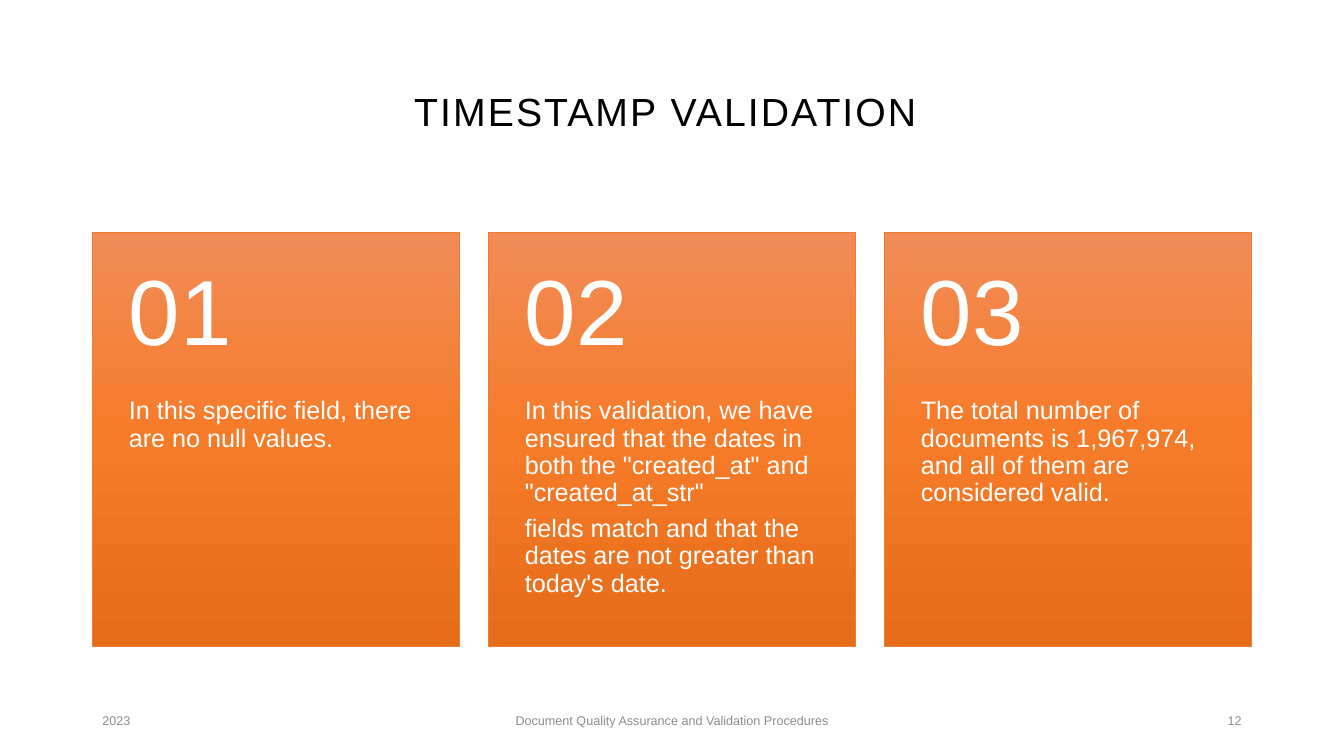
from copy import deepcopy
from dataclasses import dataclass

from pptx import Presentation
from pptx.dml.color import RGBColor
from pptx.enum.shapes import MSO_SHAPE
from pptx.enum.text import MSO_ANCHOR, PP_ALIGN
from pptx.oxml.ns import qn
from pptx.util import Pt

RECTANGLE = MSO_SHAPE.RECTANGLE
TOP, MIDDLE = MSO_ANCHOR.TOP, MSO_ANCHOR.MIDDLE
LEFT, CENTER, RIGHT = PP_ALIGN.LEFT, PP_ALIGN.CENTER, PP_ALIGN.RIGHT

BLACK = RGBColor(0x00, 0x00, 0x00)
WHITE = RGBColor(0xFF, 0xFF, 0xFF)
GRAY = RGBColor(0x8C, 0x8C, 0x8C)
ORANGE = RGBColor(0xED, 0x7D, 0x31)
GRADIENT = (
    RGBColor(0xF1, 0x8C, 0x57),
    RGBColor(0xF6, 0x7B, 0x28),
    RGBColor(0xE5, 0x6C, 0x19),
)

FONT = "Arial"
MARGIN = 66
CARD_TOP, CARD_W, CARD_H = 166.32, 262.4, 295.2
CARD_STEP = 282.9
NUMBER_H = 118.1
CARD_INSET = 26


@dataclass
class TextStyle:
    size: float
    color: RGBColor
    align: PP_ALIGN = LEFT
    anchor: MSO_ANCHOR = MIDDLE
    line_spacing: float = 1.0
    space_after: float = 0
    insets: tuple[float, float, float, float] = (7.2, 3.6, 7.2, 3.6)


@dataclass
class Footer:
    text: str
    left: float
    width: float
    align: PP_ALIGN


TITLE = TextStyle(28, BLACK, CENTER, line_spacing=0.9)
NUMBER = TextStyle(66, WHITE, line_spacing=0.9,
                   insets=(CARD_INSET, 13, CARD_INSET, 13))
BODY = TextStyle(18, WHITE, anchor=TOP, line_spacing=0.9, space_after=6.3,
                 insets=(CARD_INSET, 0, CARD_INSET, CARD_INSET))

CARDS = [
    "In this specific field, there are no null values.",
    'In this validation, we have ensured that the dates in both the "created_at" '
    'and "created_at_str"\n'
    "fields match and that the dates are not greater than today's date.",
    "The total number of documents is 1,967,974, and all of them are "
    "considered valid.",
]
FOOTERS = [
    Footer("2023", MARGIN, 216, LEFT),
    Footer("Document Quality Assurance and Validation Procedures", 318, 324, CENTER),
    Footer("12", 678, 216, RIGHT),
]


def write(sp, text: str, style: TextStyle) -> None:
    tf = sp.text_frame
    tf.text = text
    tf.word_wrap = True
    tf.vertical_anchor = style.anchor
    tf.margin_left, tf.margin_top, tf.margin_right, tf.margin_bottom = map(
        Pt, style.insets)
    for p in tf.paragraphs:
        p.alignment = style.align
        p.line_spacing = style.line_spacing
        p.space_before = Pt(0)
        p.space_after = Pt(style.space_after)
        for r in p.runs:
            r.font.name = FONT
            r.font.size = Pt(style.size)
            r.font.color.rgb = style.color


def add_text(s, text: str, left: float, top: float, width: float,
             height: float, style: TextStyle) -> None:
    write(s.shapes.add_textbox(Pt(left), Pt(top), Pt(width), Pt(height)), text, style)


def fill_gradient(sp) -> None:
    sp.fill.gradient()
    sp.fill.gradient_angle = 270
    stops = sp._element.spPr.find(qn("a:gradFill")).find(qn("a:gsLst"))
    stops.insert(1, deepcopy(stops[0]))
    for i, (stop, color) in enumerate(zip(sp.fill.gradient_stops, GRADIENT)):
        stop.position = i / 2
        stop.color.rgb = color


def add_card(s, index: int, text: str) -> None:
    left = MARGIN + index * CARD_STEP
    sp = s.shapes.add_shape(RECTANGLE, Pt(left), Pt(CARD_TOP), Pt(CARD_W), Pt(CARD_H))
    sp.shadow.inherit = False
    fill_gradient(sp)
    sp.line.color.rgb = ORANGE
    sp.line.width = Pt(0.5)
    add_text(s, text, left, CARD_TOP + NUMBER_H, CARD_W, CARD_H - NUMBER_H, BODY)
    add_text(s, f"{index + 1:02d}", left, CARD_TOP, CARD_W, NUMBER_H, NUMBER)


def add_title(s, text: str) -> None:
    sp = s.shapes.title
    sp.left, sp.top, sp.width, sp.height = Pt(MARGIN), Pt(28.8), Pt(828), Pt(104.4)
    write(sp, text, TITLE)
    for r in sp.text_frame.paragraphs[0].runs:
        r.font._element.set("spc", "150")


def main() -> None:
    prs = Presentation()
    prs.slide_width, prs.slide_height = Pt(960), Pt(540)
    s = prs.slides.add_slide(prs.slide_layouts[5])
    add_title(s, "TIMESTAMP VALIDATION ")
    for footer in FOOTERS:
        style = TextStyle(9, GRAY, footer.align, space_after=6)
        add_text(s, footer.text, footer.left, 500.5, footer.width, 28.8, style)
    for index, text in enumerate(CARDS):
        add_card(s, index, text)
    prs.save("out.pptx")


if __name__ == "__main__":
    main()
